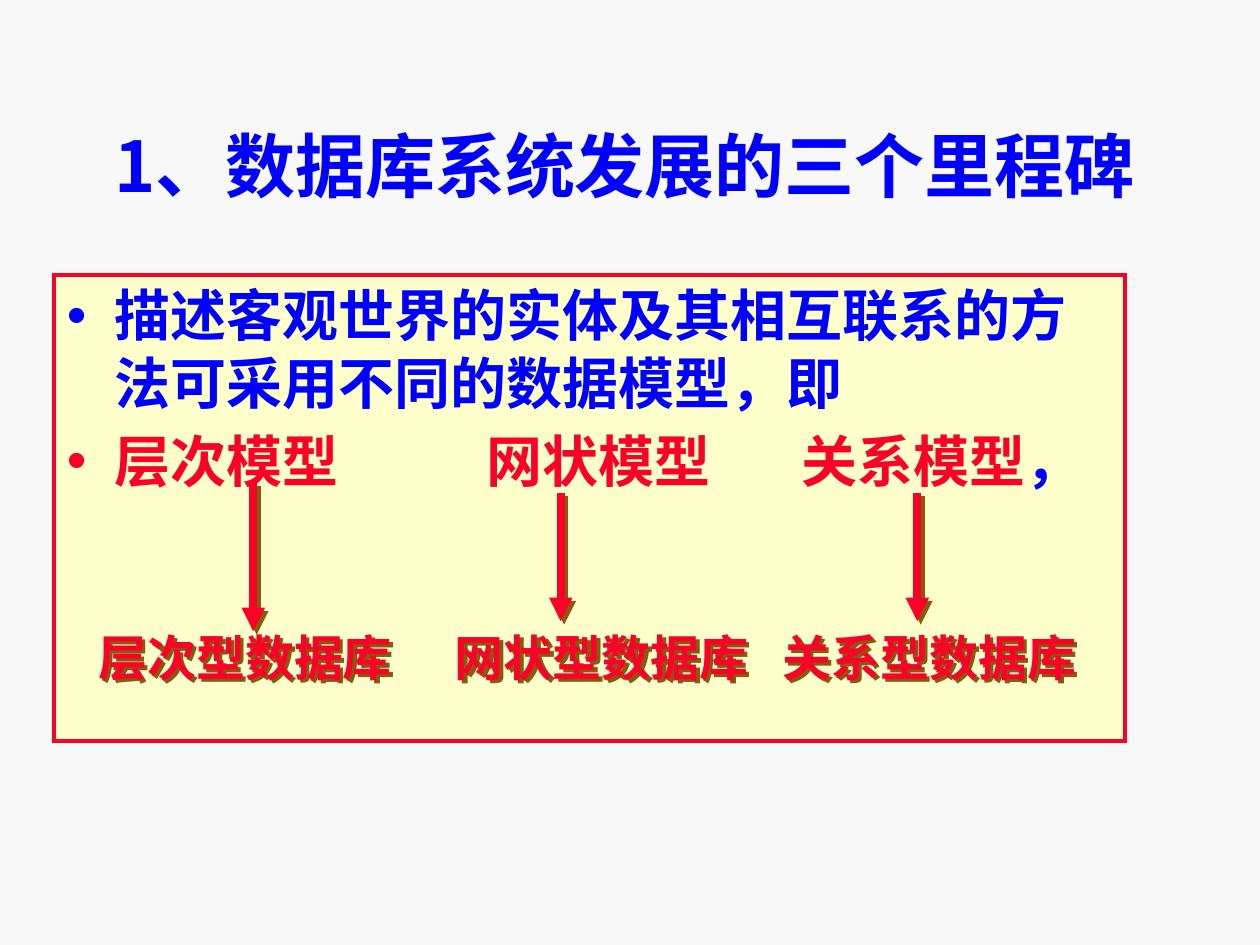
import pptx
import pptx.util
import pptx.dml.color
import pptx.enum.shapes
import pptx.enum.text
import pptx.oxml
import pptx.oxml.ns
from lxml import etree

Inches, Pt = pptx.util.Inches, pptx.util.Pt
RGBColor = pptx.dml.color.RGBColor
ALIGN = pptx.enum.text.PP_ALIGN
BLUE = RGBColor(0x00, 0x00, 0xFF)
RED = RGBColor(0xFC, 0x01, 0x28)
CREAM = RGBColor(0xFF, 0xFF, 0xCC)
PAPER = RGBColor(0xF8, 0xF8, 0xF8)
SHADOW = RGBColor(0x87, 0x5B, 0x0D)
SANS, SERIF = "Noto Sans CJK SC", "Times New Roman"

# Content
TITLE = "1、数据库系统发展的三个里程碑"
BULLETS = [
    [("描述客观世界的实体及其相互联系的方法可采用不同的数据模型，即", BLUE)],
    [("层次模型\t\t网状模型\t关系模型", RED), ("，", BLUE)],
]
# Measured from the text edge of the list
TAB_STOPS = (2.5, 3.33, 5.83)
# Label, label left, arrow x, arrow top, arrow bottom
DATABASES = [
    ("层次型数据库", 0.67, 2.01, 3.83, 5.01),
    ("网状型数据库", 3.5, 4.45, 3.91, 4.93),
    ("关系型数据库", 6.1, 7.28, 3.91, 4.93),
]
LABEL_TOP, LABEL_WIDTH, LABEL_HEIGHT = 4.93, 2.55, 0.57


def add_element(parent, tag, **attributes):
    return etree.SubElement(parent, pptx.oxml.ns.qn(tag), attributes)


def add_span(para, text, size, color, font=SANS):
    span = para.add_run()
    span.text = text
    span.font.size, span.font.bold = Pt(size), True
    span.font.color.rgb = color
    span.font.name = font
    add_element(span.font._element, "a:ea", typeface=SANS)


def add_shadow(shape):
    effects = add_element(shape._element.spPr, "a:effectLst")
    outer = add_element(effects, "a:outerShdw", dist=str(Pt(2.83)),
                        dir="2700000", algn="ctr", rotWithShape="0")
    add_element(outer, "a:srgbClr", val=str(SHADOW))


def place(shape, left, top, width, height):
    shape.left, shape.top = Inches(left), Inches(top)
    shape.width, shape.height = Inches(width), Inches(height)


deck = pptx.Presentation()
deck.slide_width, deck.slide_height = Inches(10), Inches(7.5)
page = deck.slides.add_slide(deck.slide_layouts[1])
page.background.fill.solid()
page.background.fill.fore_color.rgb = PAPER

# Title
title = page.shapes.title
place(title, 0.35, 0.68, 9.21, 1.25)
title.text_frame.auto_size = pptx.enum.text.MSO_AUTO_SIZE.NONE
title.text_frame.vertical_anchor = pptx.enum.text.MSO_ANCHOR.MIDDLE
para = title.text_frame.paragraphs[0]
para.alignment = ALIGN.CENTER
add_span(para, TITLE, 40, BLUE)

# Framed bullet list
body = page.placeholders[1]
place(body, 0.43, 2.18, 8.5, 3.7)
body.fill.solid()
body.fill.fore_color.rgb = CREAM
body.line.color.rgb, body.line.width = RED, Pt(2.25)
add_element(body.line._get_or_add_ln(), "a:miter", lim="800000")
body.text_frame.auto_size = pptx.enum.text.MSO_AUTO_SIZE.NONE
for index, spans in enumerate(BULLETS):
    para = body.text_frame.add_paragraph() if index else body.text_frame.paragraphs[0]
    para.space_before = Pt(6.4)
    properties = para._p.get_or_add_pPr()
    properties.set("marL", str(Inches(0.38)))
    properties.set("indent", str(-Inches(0.38)))
    add_element(properties, "a:buChar", char="•")
    tabs = add_element(properties, "a:tabLst")
    for stop in TAB_STOPS:
        add_element(tabs, "a:tab", pos=str(Inches(stop)), algn="l")
    for text, color in spans:
        add_span(para, text, 32, color)

# Arrow and label for each database type
for label, left, x, top, bottom in DATABASES:
    group = page.shapes.add_group_shape()
    arrow = group.shapes.add_connector(
        pptx.enum.shapes.MSO_CONNECTOR.STRAIGHT,
        Inches(x), Inches(top), Inches(x), Inches(bottom))
    arrow.line.color.rgb, arrow.line.width = RED, Pt(4.5)
    add_element(arrow.line._get_or_add_ln(), "a:tailEnd", type="triangle")
    add_shadow(arrow)

    box = group.shapes.add_textbox(Inches(left), Inches(LABEL_TOP),
                                   Inches(LABEL_WIDTH), Inches(LABEL_HEIGHT))
    add_shadow(box)
    box.text_frame.word_wrap = False
    box.text_frame.auto_size = pptx.enum.text.MSO_AUTO_SIZE.SHAPE_TO_FIT_TEXT
    para = box.text_frame.paragraphs[0]
    para.alignment = ALIGN.CENTER
    add_span(para, label, 28, RED, SERIF)

deck.save("out.pptx")
